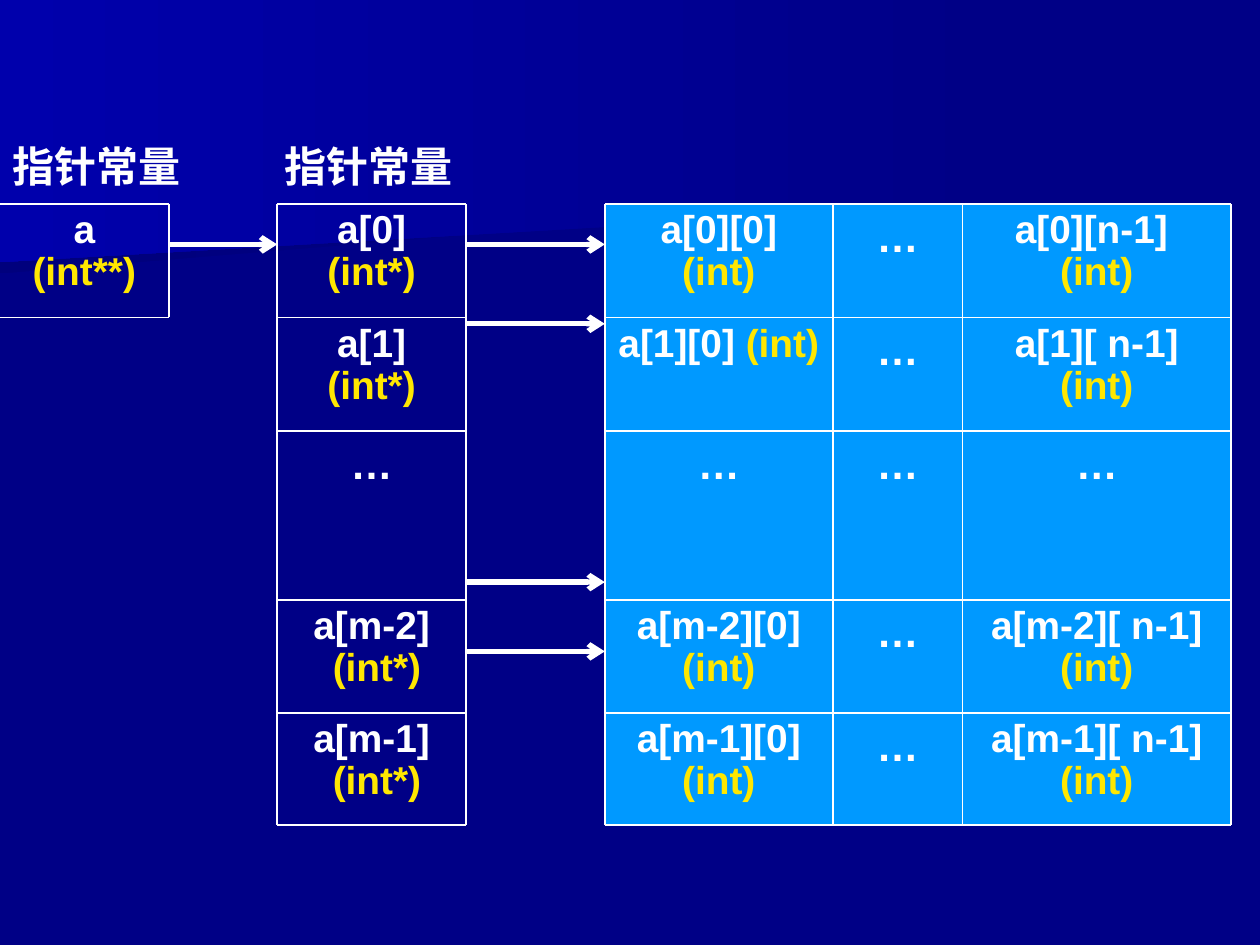
"""Build a slide showing how a two-dimensional array is reached through pointers."""
from dataclasses import dataclass
from itertools import pairwise

from lxml.etree import SubElement
from pptx import Presentation
from pptx.dml.color import RGBColor
from pptx.enum.shapes import MSO_CONNECTOR, MSO_SHAPE
from pptx.enum.text import MSO_ANCHOR, MSO_AUTO_SIZE, PP_ALIGN
from pptx.oxml.ns import qn
from pptx.slide import Slide
from pptx.text.text import _Paragraph
from pptx.util import Pt

SCALE = 9144
FONT = "Arial"
COLORS = {
    "background": "000086",
    "shade": "00007D",
    "glow": "0000AC",
    "cell": "0099FF",
    "name": "FFFFFF",
    "type": "FFE701",
    "line": "FFFFFF",
}
ROW_EDGES = [162, 252, 342, 476, 566, 655]
ROW_NAMES = ["0", "1", "", "m-2", "m-1"]
ARRAY_EDGES = [480, 661, 764, 977]
POINTER_EDGES = [220, 370]
ROOT_RIGHT = 134
ARROW_HEIGHTS = [194, 257, 462, 517]


@dataclass(frozen=True)
class Area:
    left: int
    top: int
    right: int
    bottom: int

    def emu(self) -> list[int]:
        return [px(n) for n in (self.left, self.top, self.right - self.left, self.bottom - self.top)]


@dataclass(frozen=True)
class Cell:
    area: Area
    name: str = ""
    kind: str = ""
    joint: str = "\n"
    filled: bool = True


def px(length: int) -> int:
    return length * SCALE


def color(name: str) -> RGBColor:
    return RGBColor.from_string(COLORS[name])


def add_span(para: _Paragraph, text: str, color_name: str, size: float) -> None:
    span = para.add_run()
    span.text = text
    span.font.name = FONT
    span.font.size = Pt(size)
    span.font.bold = True
    span.font.color.rgb = color(color_name)


def add_band(slide: Slide, points: list[tuple[int, int]], end: str) -> None:
    builder = slide.shapes.build_freeform(*points[0], scale=SCALE)
    builder.add_line_segments(points[1:], close=True)
    band = builder.convert_to_shape()
    band.shadow.inherit = False
    band.line.fill.background()
    band.fill.gradient()
    band.fill.gradient_angle = 180
    for stop, name in zip(band.fill.gradient_stops, ("background", end)):
        stop.color.rgb = color(name)
    band.fill.gradient_stops[0].position = 0
    band.fill.gradient_stops[1].position = 1


def add_cell(slide: Slide, cell: Cell) -> None:
    if cell.filled:
        box = slide.shapes.add_shape(MSO_SHAPE.RECTANGLE, *cell.area.emu())
        box.shadow.inherit = False
        box.fill.solid()
        box.fill.fore_color.rgb = color("cell")
        box.line.fill.background()
    else:
        box = slide.shapes.add_textbox(*cell.area.emu())
    frame = box.text_frame
    frame.word_wrap = True
    frame.vertical_anchor = MSO_ANCHOR.TOP
    para = frame.paragraphs[0]
    para.alignment = PP_ALIGN.CENTER
    if not cell.name:
        add_span(para, "…", "name", 24)
        return
    para.line_spacing = 0.9
    before, line_break, after = cell.joint.partition("\n")
    add_span(para, cell.name + before, "name", 22.2)
    if line_break:
        para.add_line_break()
    add_span(para, after + cell.kind, "type", 22.2)


def add_line(slide: Slide, left: int, top: int, right: int, bottom: int, arrow: bool = False) -> None:
    ends = [px(n) for n in (left, top, right, bottom)]
    line = slide.shapes.add_connector(MSO_CONNECTOR.STRAIGHT, *ends)
    line.line.color.rgb = color("line")
    line.line.width = Pt(3 if arrow else 1)
    if arrow:
        SubElement(line.line._get_or_add_ln(), qn("a:tailEnd"), type="arrow")
    SubElement(line._element.spPr, qn("a:effectLst"))


def add_grid_lines(slide: Slide, columns: list[int], rows: list[int]) -> None:
    for y in rows:
        add_line(slide, columns[0], y, columns[-1], y)
    for x in columns:
        add_line(slide, x, rows[0], x, rows[-1])


def add_label(slide: Slide, left: int) -> None:
    box = slide.shapes.add_textbox(*Area(left, 107, left + 161, 157).emu())
    box.text_frame.word_wrap = True
    box.text_frame.auto_size = MSO_AUTO_SIZE.SHAPE_TO_FIT_TEXT
    add_span(box.text_frame.paragraphs[0], "指针常量", "name", 24)


def row_cells(row: str, top: int, bottom: int) -> list[Cell]:
    first, middle, last = [Area(left, top, right, bottom) for left, right in pairwise(ARRAY_EDGES)]
    pointer = Area(POINTER_EDGES[0], top, POINTER_EDGES[1], bottom)
    if not row:
        return [Cell(pointer, filled=False), Cell(first), Cell(middle), Cell(last)]
    is_top = row == "0"
    final_index = "n-1" if is_top else " n-1"
    return [
        Cell(pointer, f"a[{row}]", "(int*)", "\n " if "m" in row else "\n", filled=False),
        Cell(first, f"a[{row}][0]", "(int)", "\n" if is_top else " "),
        Cell(middle),
        Cell(last, f"a[{row}][{final_index}]", "(int)", " \n" if is_top else " "),
    ]


def main() -> None:
    deck = Presentation()
    deck.slide_width, deck.slide_height = px(1000), px(750)
    page = deck.slides.add_slide(deck.slide_layouts[6])
    page.background.fill.solid()
    page.background.fill.fore_color.rgb = color("background")
    add_band(page, [(778, 153), (0, 217), (0, 101), (779, 101), (778, 128)], "shade")
    add_band(page, [(792, 162), (0, 208), (0, 0), (792, 0)], "glow")

    add_cell(page, Cell(Area(0, ROW_EDGES[0], ROOT_RIGHT, ROW_EDGES[1]), "a", "(int**)", filled=False))
    for row, (top, bottom) in zip(ROW_NAMES, pairwise(ROW_EDGES)):
        for cell in row_cells(row, top, bottom):
            add_cell(page, cell)

    for y in ROW_EDGES[:2]:
        add_line(page, 0, y, ROOT_RIGHT, y)
    add_line(page, ROOT_RIGHT, ROW_EDGES[0], ROOT_RIGHT, ROW_EDGES[1])
    add_grid_lines(page, POINTER_EDGES, ROW_EDGES)
    add_grid_lines(page, ARRAY_EDGES, ROW_EDGES)

    add_line(page, ROOT_RIGHT, ARROW_HEIGHTS[0], POINTER_EDGES[0], ARROW_HEIGHTS[0], arrow=True)
    for y in ARROW_HEIGHTS:
        add_line(page, POINTER_EDGES[1], y, ARRAY_EDGES[0], y, arrow=True)
    for left in (0, 216):
        add_label(page, left)
    deck.save("out.pptx")


if __name__ == "__main__":
    main()
